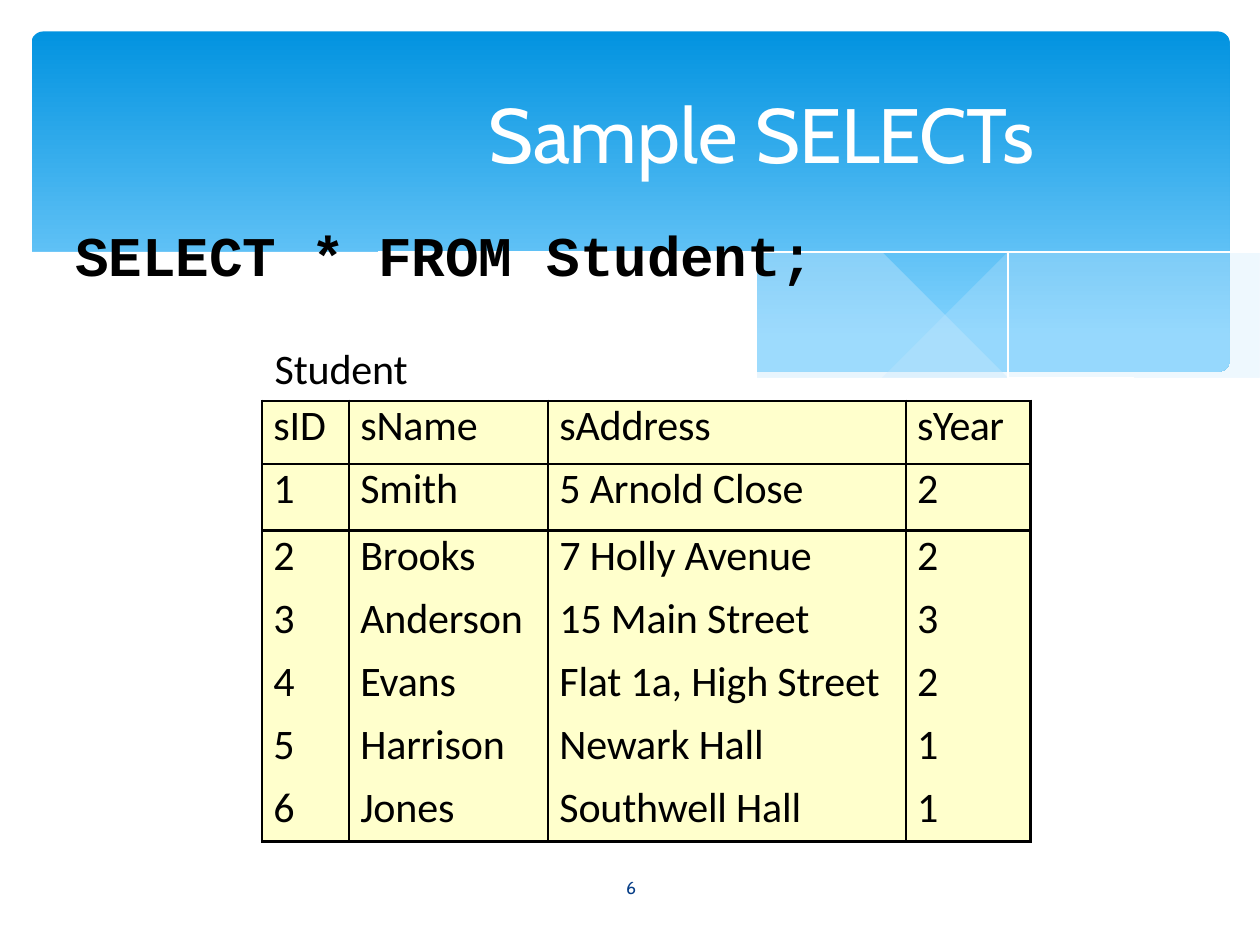
from dataclasses import dataclass
from typing import Optional

from lxml.etree import SubElement
from pptx import Presentation
from pptx.dml.color import RGBColor
from pptx.enum.shapes import MSO_SHAPE
from pptx.enum.text import MSO_ANCHOR, PP_ALIGN
from pptx.oxml.ns import qn
from pptx.util import Inches, Pt

Point = tuple[float, float]
BLACK, WHITE, NAVY = "000000", "FFFFFF", "073E87"
CELL_YELLOW, PALE_BLUE = "FFFFCC", "C6E7FC"


@dataclass
class Run:
    text: str
    spacing: float = 0


@dataclass
class Style:
    font: str
    size: float
    color: str = BLACK
    bold: bool = False


@dataclass
class Label:
    box: tuple[float, float, float, float]
    runs: list[Run]
    style: Style
    indent: float = 0.01
    align: PP_ALIGN = PP_ALIGN.LEFT
    anchor: MSO_ANCHOR = MSO_ANCHOR.TOP
    line_spacing: Optional[float] = None


@dataclass
class Wave:
    curves: list[list[Point]]  # smooth curves, joined by straight lines
    fill: Optional[str] = None
    opacity: int = 100


TITLE = Style("Cabin", 44, WHITE)
NUMBER = Style("Cabin", 10, NAVY)
CODE = Style("Courier New", 32, bold=True)
BODY = Style("Calibri", 24)

WAVES = [
    Wave([[(9.76, 2), (9.35, 2.07), (9.06, 2.13), (8.61, 2.23), (7.79, 2.42),
           (7.06, 2.57), (6.61, 2.65)],
          [(6.61, 2.65), (7.05, 2.71), (7.57, 2.76), (8.14, 2.78), (8.63, 2.75),
           (9.13, 2.67), (9.49, 2.57), (9.76, 2.47)]], PALE_BLUE, 29),
    Wave([[(8.93, 2.73), (8.37, 2.65), (7.75, 2.54), (7.06, 2.4), (6.29, 2.22),
           (5.69, 2.08), (5.14, 1.98), (4.65, 1.91), (4.2, 1.87), (3.61, 1.85),
           (3.13, 1.88), (2.86, 1.91)],
          [(2.86, 1.91), (3.42, 1.99), (4.04, 2.11), (4.49, 2.22), (5.3, 2.4),
           (6.01, 2.55), (6.65, 2.66), (7.22, 2.74), (7.73, 2.77), (8.18, 2.78),
           (8.57, 2.77), (8.93, 2.73)]], PALE_BLUE, 40),
    Wave([[(3.09, 1.95), (3.44, 1.9), (3.87, 1.87), (4.33, 1.87), (4.89, 1.9),
           (5.56, 1.97), (6.36, 2.08), (7.27, 2.26), (8.31, 2.51), (9.07, 2.72)]]),
    Wave([[(6.13, 2.57), (6.95, 2.35), (7.76, 2.16), (8.36, 2.04), (8.95, 1.94),
           (9.38, 1.88), (9.75, 1.85)]]),
    Wave([[(9.77, 2.46), (9.4, 2.59), (8.99, 2.69), (8.5, 2.75), (8.09, 2.77),
           (7.61, 2.75), (7.08, 2.7), (6.48, 2.62), (5.79, 2.5), (5.03, 2.33),
           (4.47, 2.2), (3.91, 2.07), (3.4, 1.97), (2.92, 1.9), (2.5, 1.86),
           (2.11, 1.84), (1.77, 1.84), (1.32, 1.86), (0.95, 1.91), (0.59, 1.99),
           (0.36, 2.07), (0.23, 2.13)],
          [(0.23, 3.29), (9.77, 3.29)]], WHITE),
]

LABELS = [
    Label((4.36, 6.84, 1.27, 0.4), [Run("6")], NUMBER, 0.03, PP_ALIGN.CENTER,
          MSO_ANCHOR.MIDDLE, 12.4),
    Label((0.5, 0.37, 9, 1.37), [Run("Sample "), Run("SELECTs", -0.5)], TITLE, 2.08,
          PP_ALIGN.CENTER, MSO_ANCHOR.MIDDLE),
    Label((0.59, 1.75, 1.63, 0.58), [Run("SELECT", -0.1)], CODE),
    Label((2.46, 1.75, 1.63, 0.58), [Run("* "), Run("FROM", -0.1)], CODE),
    Label((4.33, 1.75, 2.17, 0.58), [Run("Student;", -0.1)], CODE),
    Label((2.17, 2.72, 1.09, 0.43), [Run("Student", -0.1)], BODY),
]

STUDENTS = [
    ("sID", "sName", "sAddress", "sYear"),
    ("1", "Smith", "5 Arnold Close", "2"),
    ("2", "Brooks", "7 Holly Avenue", "2"),
    ("3", "Anderson", "15 Main Street", "3"),
    ("4", "Evans", "Flat 1a, High Street", "2"),
    ("5", "Harrison", "Newark Hall", "1"),
    ("6", "Jones", "Southwell Hall", "1"),
]
COLUMN_WIDTHS = [0.69, 1.58, 2.84, 0.99]
ROW_HEIGHTS = [0.5, 0.53, 0.5, 0.5, 0.5, 0.5, 0.47]
RULED_ROWS = 2  # rows with a line below and a little space above the text


def rgb(color: str) -> RGBColor:
    return RGBColor.from_string(color)


def smooth(anchors: list[Point], steps: int = 4) -> list[Point]:
    """Catmull-Rom curve through the anchors."""
    if len(anchors) < 3:
        return anchors
    padded = [anchors[0], *anchors, anchors[-1]]
    curve = [anchors[0]]
    for a, b, c, d in zip(padded, padded[1:], padded[2:], padded[3:]):
        for step in range(1, steps + 1):
            t = step / steps
            curve.append(tuple(
                q + 0.5 * t * (r - p + t * (2 * p - 5 * q + 4 * r - s
                                            + t * (3 * (q - r) + s - p)))
                for p, q, r, s in zip(a, b, c, d)))
    return curve


def draw_banner(shapes) -> None:
    banner = shapes.add_shape(MSO_SHAPE.ROUNDED_RECTANGLE, Inches(0.25), Inches(0.25),
                              Inches(9.51), Inches(2.7))
    banner.adjustments[0] = 0.034
    banner.shadow.inherit = False
    banner.line.fill.background()
    banner.fill.gradient()
    banner.fill.gradient_angle = 270
    for stop, (position, color) in zip(banner.fill.gradient_stops,
                                       [(0, "0293E0"), (0.9, "83D3FE")]):
        stop.position = position
        stop.color.rgb = rgb(color)


def draw_wave(shapes, wave: Wave) -> None:
    points = [point for curve in wave.curves for point in smooth(curve)]
    builder = shapes.build_freeform(*points[0], scale=Inches(1))
    builder.add_line_segments(points[1:], close=wave.fill is not None)
    shape = builder.convert_to_shape()
    shape.shadow.inherit = False
    if wave.fill is None:
        shape.fill.background()
        shape.line.color.rgb = rgb(WHITE)
        shape.line.width = Pt(0)
        return
    shape.line.fill.background()
    shape.fill.solid()
    shape.fill.fore_color.rgb = rgb(wave.fill)
    if wave.opacity < 100:
        color = shape.fill._xPr.find(".//" + qn("a:srgbClr"))
        SubElement(color, qn("a:alpha"), val=str(wave.opacity * 1000))


def write(paragraph, runs: list[Run], style: Style, indent: float) -> None:
    paragraph._p.get_or_add_pPr().set("marL", str(Inches(indent)))
    for item in runs:
        run = paragraph.add_run()
        run.text = item.text
        run.font.name, run.font.size = style.font, Pt(style.size)
        run.font.bold = style.bold
        run.font.color.rgb = rgb(style.color)
        run._r.get_or_add_rPr().set("spc", str(round(item.spacing * 100)))


def draw_label(shapes, label: Label) -> None:
    frame = shapes.add_textbox(*map(Inches, label.box)).text_frame
    frame.word_wrap = True
    frame.vertical_anchor = label.anchor
    frame.margin_left = frame.margin_right = frame.margin_top = frame.margin_bottom = 0
    paragraph = frame.paragraphs[0]
    paragraph.alignment = label.align
    if label.line_spacing:
        paragraph.line_spacing = Pt(label.line_spacing)
    write(paragraph, label.runs, label.style, label.indent)


def set_borders(cell, top: bool, bottom: bool) -> None:
    for side, shown in zip("LRTB", (True, True, top, bottom)):
        line = SubElement(cell._tc.get_or_add_tcPr(), qn(f"a:ln{side}"), w=str(Pt(1.5)))
        fill = SubElement(line, qn("a:solidFill" if shown else "a:noFill"))
        if shown:
            SubElement(fill, qn("a:srgbClr"), val=BLACK)


def draw_students(shapes) -> None:
    table = shapes.add_table(len(STUDENTS), len(COLUMN_WIDTHS), Inches(2.08), Inches(3.18),
                             Inches(sum(COLUMN_WIDTHS)), Inches(sum(ROW_HEIGHTS))).table
    table.first_row = table.horz_banding = False
    for column, width in zip(table.columns, COLUMN_WIDTHS):
        column.width = Inches(width)
    for row, (height, student) in enumerate(zip(ROW_HEIGHTS, STUDENTS)):
        table.rows[row].height = Inches(height)
        for column, value in enumerate(student):
            cell = table.cell(row, column)
            cell.margin_left = cell.margin_right = cell.margin_top = cell.margin_bottom = 0
            set_borders(cell, row <= RULED_ROWS,
                        row < RULED_ROWS or row == len(STUDENTS) - 1)
            cell.fill.solid()
            cell.fill.fore_color.rgb = rgb(CELL_YELLOW)
            paragraph = cell.text_frame.paragraphs[0]
            if row < RULED_ROWS:
                paragraph.space_before = Pt(1.4)
            spacing = 0 if value.isdigit() else -0.4 if value == "sYear" else -0.1
            write(paragraph, [Run(value, spacing)], BODY, 0.09)


def main() -> None:
    deck = Presentation()
    deck.slide_width, deck.slide_height = Inches(10), Inches(7.5)
    shapes = deck.slides.add_slide(deck.slide_layouts[6]).shapes
    # Banner with waves
    draw_banner(shapes)
    for wave in WAVES:
        draw_wave(shapes, wave)
    # Title, query, table name and slide number
    for label in LABELS:
        draw_label(shapes, label)
    # Student table
    draw_students(shapes)
    deck.save("out.pptx")


if __name__ == "__main__":
    main()
